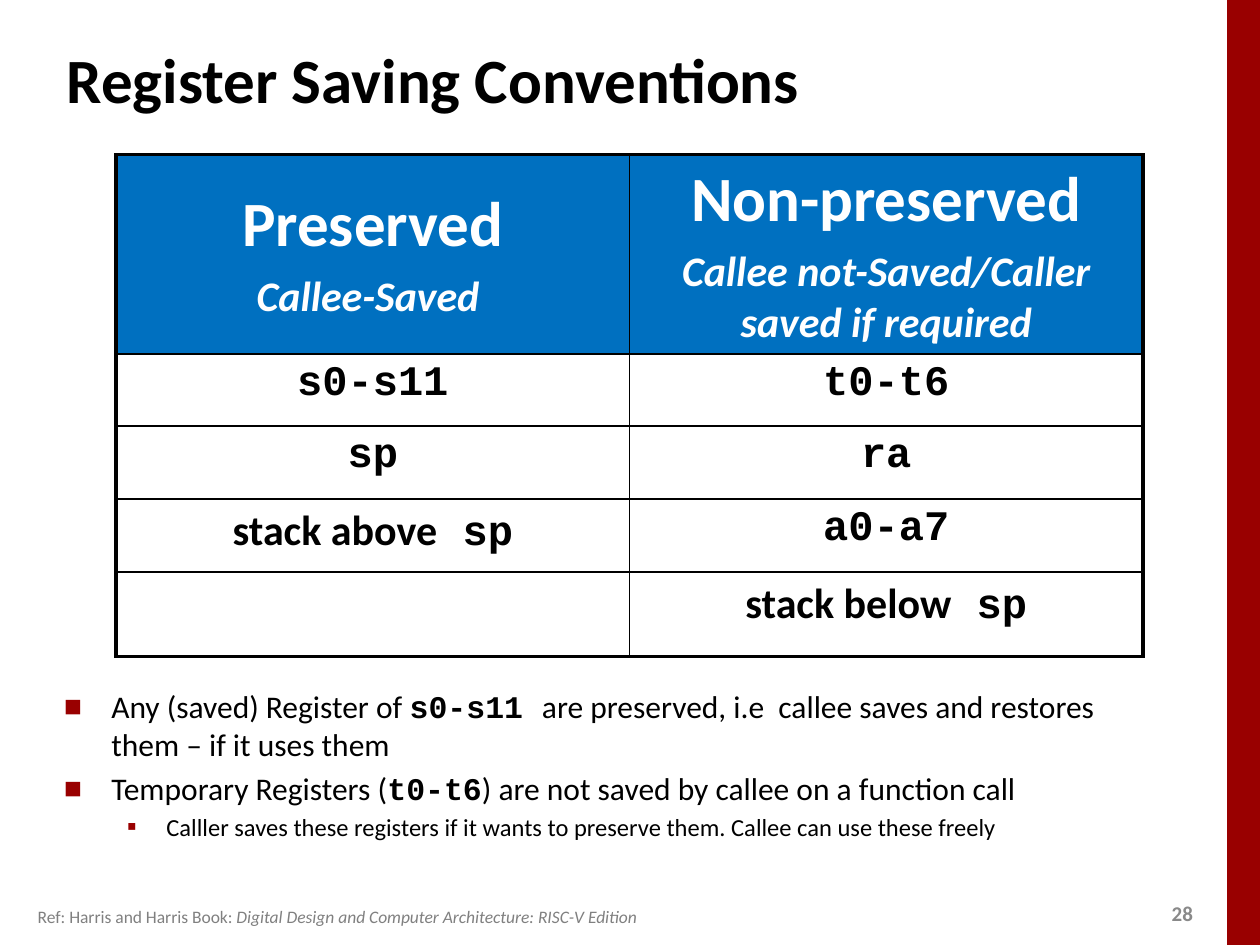
from lxml.etree import SubElement
from pptx import Presentation
from pptx.dml.color import RGBColor
from pptx.enum.shapes import MSO_SHAPE as Shape
from pptx.enum.text import MSO_ANCHOR as Anchor, MSO_AUTO_SIZE as AutoSize, PP_ALIGN as Align
from pptx.oxml import parse_xml
from pptx.oxml.ns import nsdecls, qn
from pptx.util import Cm, Pt

COLORS = {"black": "000000", "white": "FFFFFF", "accent": "990000",
          "header": "0070C0", "number": "898989", "reference": "808080"}
SANS, MONO = "Calibri", "Courier New"
THIN, THICK = 1, 2.25

HEADERS = [("Preserved", "Callee-Saved "),
           ("Non-preserved", "Callee not-Saved/Caller saved if required")]
ROWS = [
    ([("s0-s11", MONO)], [("t0-t6", MONO)]),
    ([("sp", MONO)], [("ra", MONO)]),
    ([("stack above", SANS), (" sp", MONO)], [("a0-a7", MONO)]),
    ([], [("stack below", SANS), (" sp", MONO)]),
]
ROW_HEIGHTS = [4.02, 1.45, 1.47, 1.47, 1.7]
BULLETS = [
    (0, [("Any (saved) Register of ", SANS), ("s0-s11 ", MONO),
         ("are preserved, i.e  callee saves and restores them – if it uses them", SANS)]),
    (0, [("Temporary Registers (", SANS), ("t0-t6", MONO),
         (") are not saved by callee on a function call", SANS)]),
    (1, [("Calller saves these registers if it wants to preserve them. "
          "Callee can use these freely", SANS)]),
]
BULLET_STYLES = [
    {"size": 18, "char": "■", "scale": 60, "left": 0.95, "hang": 0.95},
    {"size": 14, "char": "▪", "scale": 110, "left": 2.06, "hang": 0.79},
]


def rgb(name):
    """Return the named colour."""
    return RGBColor.from_string(COLORS[name])


def add_span(para, text, size, color="black", font=SANS, bold=False, italic=False):
    """Append one formatted run to a paragraph."""
    span = para.add_run()
    span.text = text
    span.font.name, span.font.size = font, Pt(size)
    span.font.bold, span.font.italic = bold, italic
    span.font.color.rgb = rgb(color)


def place(shape, box):
    """Move a shape to a box given in centimetres."""
    shape.left, shape.top, shape.width, shape.height = map(Cm, box)


def next_para(frame, index):
    """Return the first paragraph or a newly added one."""
    return frame.add_paragraph() if index else frame.paragraphs[0]


def add_text_box(page, box):
    """Add a wrapping text box and return its frame."""
    frame = page.shapes.add_textbox(*map(Cm, box)).text_frame
    frame.word_wrap = True
    return frame


def add_side_bar(page, box):
    """Draw the coloured bar at the edge of the page."""
    bar = page.shapes.add_shape(Shape.RECTANGLE, *map(Cm, box))
    bar.shadow.inherit = False
    bar.fill.solid()
    bar.fill.fore_color.rgb = rgb("accent")
    bar.line.fill.background()


def add_title(page, box):
    """Fill the title placeholder."""
    title = page.shapes.title
    place(title, box)
    frame = title.text_frame
    frame.vertical_anchor = Anchor.MIDDLE
    frame.auto_size = AutoSize.NONE
    frame.paragraphs[0].alignment = Align.LEFT
    add_span(frame.paragraphs[0], "Register Saving Conventions", 36, bold=True)


def set_bullet(para, style):
    """Give a paragraph its indent and coloured bullet."""
    props = para._p.get_or_add_pPr()
    props.set("marL", str(Cm(style["left"])))
    props.set("indent", str(-Cm(style["hang"])))
    SubElement(SubElement(props, qn("a:buClr")), qn("a:srgbClr"), val=COLORS["accent"])
    SubElement(props, qn("a:buSzPct"), val=str(style["scale"] * 1000))
    SubElement(props, qn("a:buFont"), typeface=SANS)
    SubElement(props, qn("a:buChar"), char=style["char"])


def add_notes_list(page, box):
    """Fill the body placeholder with the bulleted remarks."""
    body = page.placeholders[1]
    place(body, box)
    frame = body.text_frame
    frame.auto_size = AutoSize.NONE
    for index, (level, spans) in enumerate(BULLETS):
        style = BULLET_STYLES[level]
        para = next_para(frame, index)
        para.level = level
        set_bullet(para, style)
        para.space_before = Pt(0.2 * style["size"] if index else 0)
        for text, font in spans:
            add_span(para, text, style["size"], font=font, bold=font == MONO)


def set_borders(cell, widths):
    """Draw the left, right, top and bottom borders of a cell."""
    props = cell._tc.get_or_add_tcPr()
    for position, (side, width) in enumerate(zip("LRTB", widths)):
        props.insert(position, parse_xml(
            f'<a:ln{side} {nsdecls("a")} w="{Pt(width)}"><a:solidFill>'
            f'<a:srgbClr val="{COLORS["black"]}"/></a:solidFill></a:ln{side}>'))


def fill_header(cell, heading, detail):
    """Write a two-level column heading."""
    cell.vertical_anchor = Anchor.MIDDLE
    for index, (text, size) in enumerate([(heading, 36), (detail, 24)]):
        para = next_para(cell.text_frame, index)
        para.alignment = Align.CENTER
        para.space_before = Pt(0.2 * size if index else 0)
        add_span(para, text, size, "white", bold=True, italic=index == 1)


def add_register_table(page, box):
    """Build the table of preserved and non-preserved registers."""
    count = len(ROW_HEIGHTS)
    table = page.shapes.add_table(count, len(HEADERS), *map(Cm, box)).table
    table.first_row = table.horz_banding = False
    for row, height in zip(table.rows, ROW_HEIGHTS):
        row.height = Cm(height)
    for r in range(count):
        for c, header in enumerate(HEADERS):
            cell = table.cell(r, c)
            cell.fill.solid()
            cell.fill.fore_color.rgb = rgb("white" if r else "header")
            outer = (c == 0, c == len(HEADERS) - 1, r == 0, r == count - 1)
            set_borders(cell, [THICK if edge else THIN for edge in outer])
            if r == 0:
                fill_header(cell, *header)
                continue
            para = cell.text_frame.paragraphs[0]
            para.alignment = Align.CENTER
            for text, font in ROWS[r - 1][c]:
                add_span(para, text, 24, font=font, bold=True)


def add_reference(page, box):
    """Write the source line at the foot of the page."""
    para = add_text_box(page, box).paragraphs[0]
    add_span(para, "Ref: Harris and Harris Book: ", 10, "reference")
    add_span(para, "Digital Design and Computer Architecture: RISC-V Edition",
             10, "reference", italic=True)


def add_page_number(page, box):
    """Write the page number."""
    frame = add_text_box(page, box)
    frame.vertical_anchor = Anchor.MIDDLE
    add_span(frame.paragraphs[0], "28", 12, "number", bold=True)


def main():
    """Build and save the one-page deck."""
    deck = Presentation()
    deck.slide_width, deck.slide_height = Cm(25.4), Cm(19.05)
    page = deck.slides.add_slide(deck.slide_layouts[1])
    add_side_bar(page, (24.74, 0, 0.66, 19.05))
    add_page_number(page, (23.37, 18.03, 1.02, 0.76))
    add_notes_list(page, (1.04, 13.72, 21.95, 3.99))
    add_title(page, (1.09, 0.53, 21.08, 2.11))
    add_register_table(page, (2.34, 3.12, 20.7, sum(ROW_HEIGHTS)))
    add_reference(page, (0.51, 18.14, 16.41, 0.69))
    deck.save("out.pptx")


if __name__ == "__main__":
    main()
